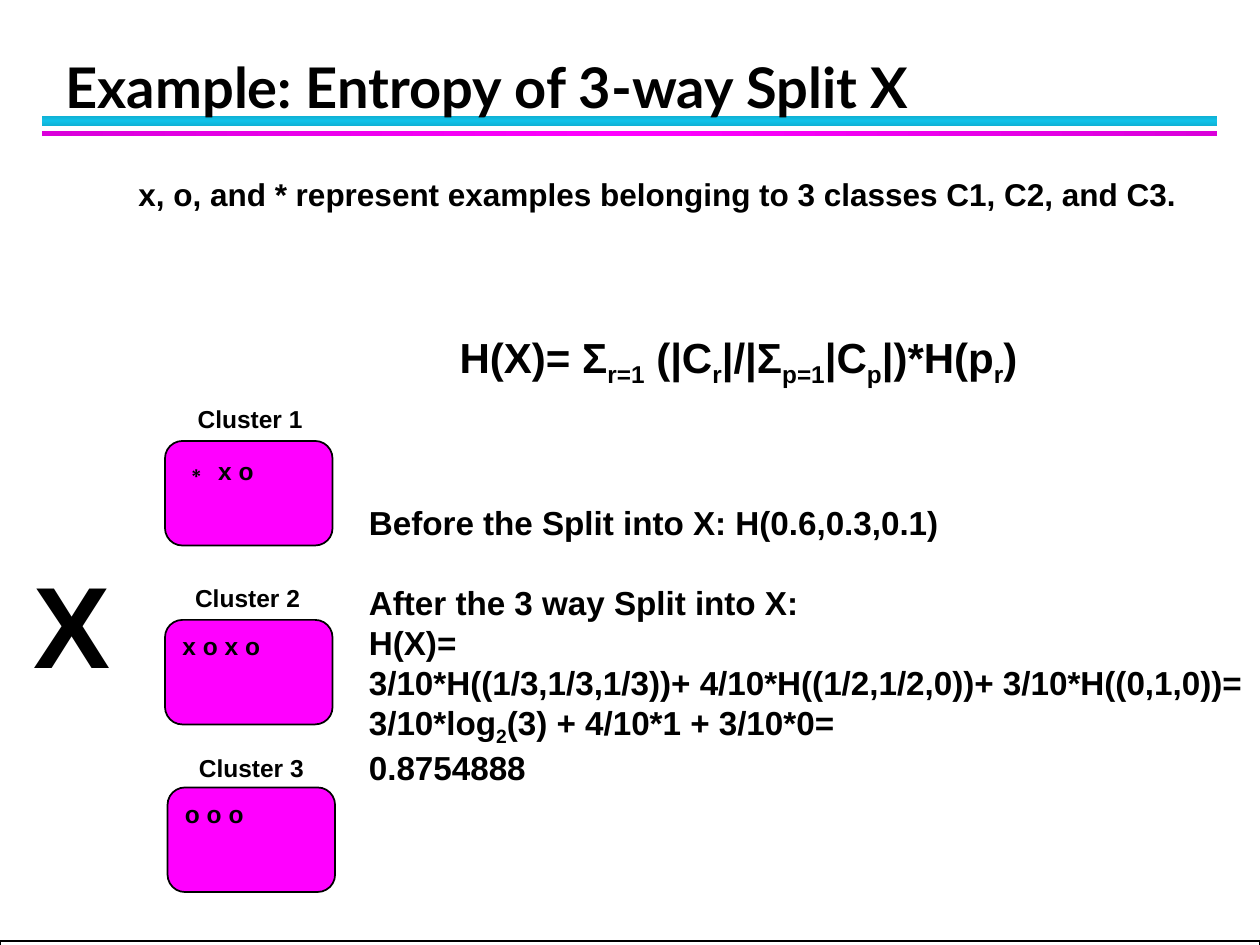
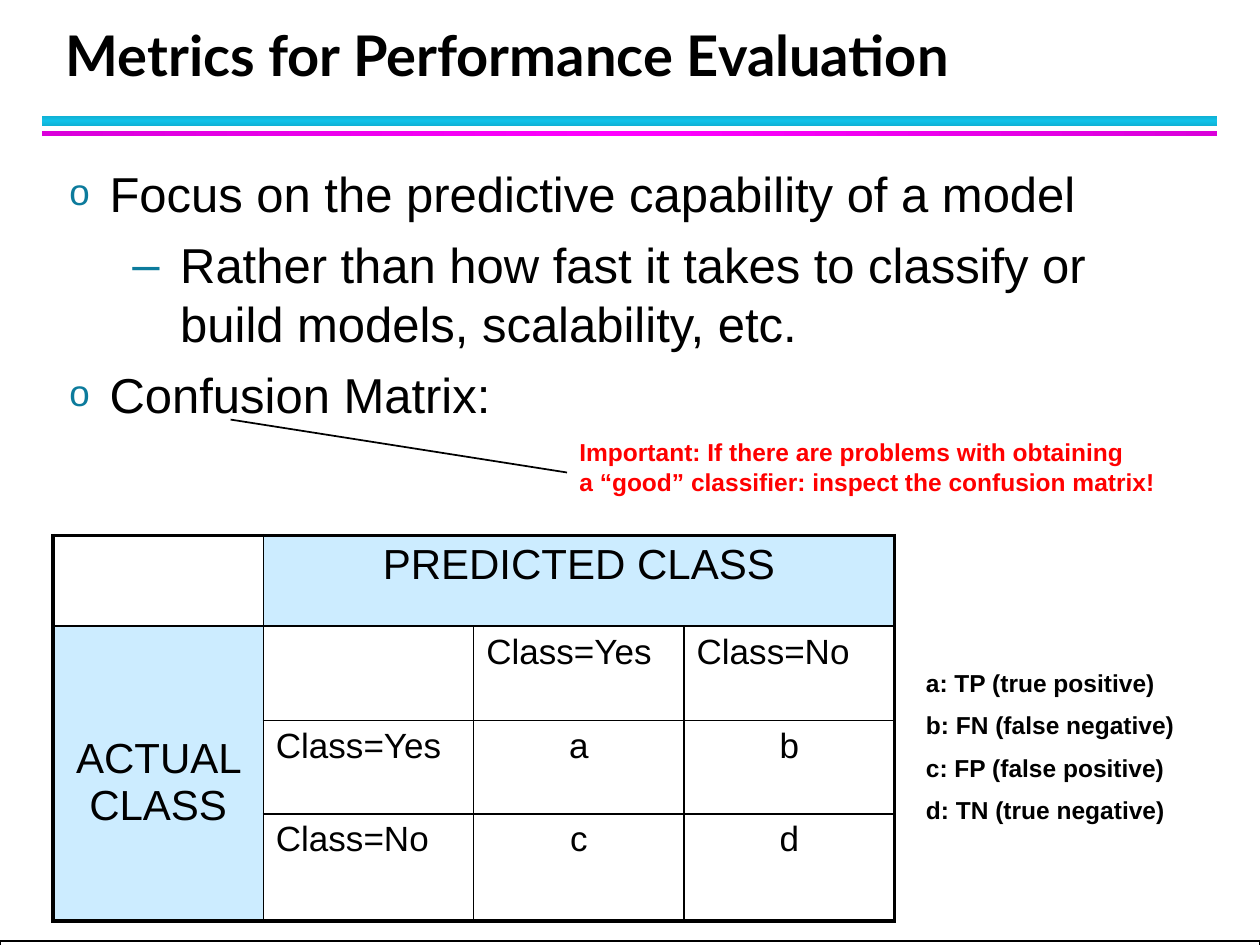
import copy
from dataclasses import dataclass

import pptx
import pptx.dml.color
import pptx.enum.shapes
import pptx.enum.text
import pptx.oxml
import pptx.oxml.ns
import pptx.util

Inches = pptx.util.Inches
Pt = pptx.util.Pt
RGB = pptx.dml.color.RGBColor.from_string
Shape = pptx.enum.shapes.MSO_SHAPE
Align = pptx.enum.text.PP_ALIGN
Anchor = pptx.enum.text.MSO_ANCHOR
AutoSize = pptx.enum.text.MSO_AUTO_SIZE
qn = pptx.oxml.ns.qn
NAMESPACE = pptx.oxml.ns.nsdecls("a")


@dataclass(frozen=True)
class Theme:
    ink: str = "000000"
    paper: str = "FFFFFF"
    alert: str = "FF0000"
    bullet: str = "0C7B9C"
    cluster: str = "FF00FF"
    header: str = "CCECFF"
    cyan_band: tuple = ("10B0D3", "12C2E9")
    magenta_band: tuple = ("DA00DA", "FF00FF")
    title_font: str = "Lato"
    body_font: str = "Arial"
    title: int = 32
    body: int = 28
    heading: int = 24
    cell: int = 20
    working: int = 19
    intro: int = 18
    star: int = 16
    label: int = 14
    giant: int = 66


theme = Theme()


def write(frame, lines, size, color=theme.ink, font=theme.body_font, bold=True,
          align=Align.LEFT, gap=0):
    """Fill a frame, one paragraph a line; text between ~ marks is subscript."""
    for number, line in enumerate(lines):
        para = frame.paragraphs[0] if number == 0 else frame.add_paragraph()
        para.alignment = align
        if number:
            para.space_before = Pt(gap)
        for position, piece in enumerate(line.split("~")):
            if not piece:
                continue
            span = para.add_run()
            span.text = piece
            span.font.size = Pt(size)
            span.font.name = font
            span.font.bold = bold
            span.font.color.rgb = RGB(color)
            if position % 2:
                span.font._element.set("baseline", "-25000")


def add_text(page, place, lines, size, wrap=False, **style):
    box = page.shapes.add_textbox(*map(Inches, place))
    box.text_frame.word_wrap = wrap
    box.text_frame.auto_size = AutoSize.SHAPE_TO_FIT_TEXT
    write(box.text_frame, lines, size, **style)
    return box


deck = pptx.Presentation()
deck.slide_width, deck.slide_height = Inches(10), Inches(7.5)
split_page = deck.slides.add_slide(deck.slide_layouts[5])
metrics_page = deck.slides.add_slide(deck.slide_layouts[1])

# Shared bands, footer strip and titles
for page, title, title_height in [
    (split_page, "Example: Entropy of 3-way Split X", 0.83),
    (metrics_page, "Metrics for Performance Evaluation", 0.58),
]:
    backdrop = []
    for top, height, (edge, middle), angle in [
        (0.92, 0.08, theme.cyan_band, 90),
        (1.04, 0.04, theme.magenta_band, 0),
    ]:
        band = page.shapes.add_shape(Shape.RECTANGLE, Inches(0.33), Inches(top),
                                     Inches(9.33), Inches(height))
        band.line.fill.background()
        band.fill.gradient()
        band.fill.gradient_angle = angle
        first, second = band.fill.gradient_stops
        first.color.rgb = RGB(edge)
        second.color.rgb = RGB(middle)
        second.position = 0.5
        stops = band.element.find(".//" + qn("a:gsLst"))
        stops.append(copy.deepcopy(stops[0]))
        stops[2].set("pos", "100000")
        backdrop.append(band)

    footer = page.shapes.add_shape(Shape.RECTANGLE, 0, Inches(7.47),
                                   Inches(10), Inches(0.33))
    footer.fill.solid()
    footer.fill.fore_color.rgb = RGB(theme.paper)
    footer.line.color.rgb = RGB(theme.ink)
    footer.line.width = Pt(1)
    backdrop.append(footer)

    # Keep the bands behind the placeholders
    for position, box in enumerate(backdrop, start=2):
        box.shadow.inherit = False
        page.shapes.element.insert(position, box.element)

    heading = page.shapes.title
    heading.left, heading.top = Inches(0.42), Inches(0.17)
    heading.width, heading.height = Inches(9.06), Inches(title_height)
    heading.text_frame.vertical_anchor = Anchor.BOTTOM
    heading.text_frame.auto_size = AutoSize.NONE
    write(heading.text_frame, [title], theme.title, font=theme.title_font)
    heading.text_frame.paragraphs[0].line_spacing = Pt(36)

# Slide 1: clusters
for name, marks, left, top, label_left, label_top in [
    ("Cluster 1", "∗ ~~x o", 1.31, 3.5, 1.47, 3.16),
    ("Cluster 2", "x o x o", 1.31, 4.92, 1.45, 4.58),
    ("Cluster 3", "o o o", 1.33, 6.25, 1.48, 5.93),
]:
    cluster = split_page.shapes.add_shape(
        Shape.ROUNDED_RECTANGLE, Inches(left), Inches(top), Inches(1.33), Inches(0.83))
    cluster.shadow.inherit = False
    cluster.fill.solid()
    cluster.fill.fore_color.rgb = RGB(theme.cluster)
    cluster.line.color.rgb = RGB(theme.ink)
    cluster.line.width = Pt(1)
    cluster.text_frame.vertical_anchor = Anchor.TOP
    write(cluster.text_frame, [marks], theme.label)
    if marks.startswith("∗"):
        cluster.text_frame.paragraphs[0].runs[0].font.size = Pt(theme.star)
    add_text(split_page, (label_left, label_top, 1.04, 0.34), [name], theme.label)

# Slide 1: explanation and formulas
add_text(split_page, (1, 1.34, 8.52, 0.4),
         ["x, o, and * represent examples belonging to 3 classes C1, C2, and C3."],
         theme.intro)
add_text(split_page, (0.17, 4.34, 0.82, 1.21), ["X"], theme.giant)
working = add_text(split_page, (2.83, 3.94, 7.24, 2.34), [
    "Before the Split into X: H(0.6,0.3,0.1)",
    "After the 3 way Split into X:",
    "H(X)=",
    "3/10*H((1/3,1/3,1/3))+ 4/10*H((1/2,1/2,0))+ 3/10*H((0,1,0))=",
    "3/10*log~2~(3) + 4/10*1 + 3/10*0=",
    "0.8754888",
], theme.working)
working.text_frame.paragraphs[1].space_before = Pt(22.8)
add_text(split_page, (3.55, 2.58, 9.37, 0.91),
         ["H(X)= Σ~r=1~ (|C~r~|/|Σ~p=1~|C~p~|)*H(p~r~)"], theme.heading, wrap=True)

# Slide 2: bullet list
body = metrics_page.placeholders[1]
body.left, body.top = Inches(0.45), Inches(1.25)
body.width, body.height = Inches(9.1), Inches(5.67)
body.text_frame.auto_size = AutoSize.NONE
write(body.text_frame, [
    "Focus on the predictive capability of a model",
    "Rather than how fast it takes to classify or build models, scalability, etc.",
    "Confusion Matrix:",
], theme.body, bold=False)
for para, level in zip(body.text_frame.paragraphs, (0, 1, 0)):
    indent, hanging, symbol, percent = [(0.32, 0.32, "o", 75), (0.88, 0.38, "–", 100)][level]
    para.level = level
    para.space_before, para.space_after = Pt(3), Pt(4)
    properties = para._p.get_or_add_pPr()
    properties.set("marL", str(Inches(indent)))
    properties.set("indent", str(-Inches(hanging)))
    for markup in (
        f'<a:buClr {NAMESPACE}><a:srgbClr val="{theme.bullet}"/></a:buClr>',
        f'<a:buSzPct {NAMESPACE} val="{percent * 1000}"/>',
        f'<a:buFont {NAMESPACE} typeface="{theme.body_font}"/>',
        f'<a:buChar {NAMESPACE} char="{symbol}"/>',
    ):
        properties.append(pptx.oxml.parse_xml(markup))

# Slide 2: confusion matrix
matrix_rows = [
    ["", "PREDICTED CLASS", "", ""],
    ["ACTUAL CLASS", "", "Class=Yes", "Class=No"],
    ["", "Class=Yes", "a", "b"],
    ["", "Class=No", "c", "d"],
]
matrix = metrics_page.shapes.add_table(4, 4, Inches(0.42), Inches(4.25),
                                       Inches(6.67), Inches(3.06)).table
matrix.first_row = matrix.horz_banding = False
for column in matrix.columns:
    column.width = Inches(1.67)
for row, height in zip(matrix.rows, (0.72, 0.75, 0.74, 0.85)):
    row.height = Inches(height)
matrix.cell(0, 1).merge(matrix.cell(0, 3))
matrix.cell(1, 0).merge(matrix.cell(3, 0))

for row_number, texts in enumerate(matrix_rows):
    for column_number, text in enumerate(texts):
        cell = matrix.cell(row_number, column_number)
        outer = {
            "L": column_number == 0,
            "R": column_number + cell.span_width == 4,
            "T": row_number == 0,
            "B": row_number + cell.span_height == 4,
        }
        for side, is_outer in outer.items():
            width = Pt(2.25 if is_outer else 1)
            cell._tc.get_or_add_tcPr().append(pptx.oxml.parse_xml(
                f'<a:ln{side} {NAMESPACE} w="{width}"><a:solidFill>'
                f'<a:srgbClr val="{theme.ink}"/></a:solidFill></a:ln{side}>'))
        is_header = cell.is_merge_origin
        if is_header:
            cell.fill.solid()
            cell.fill.fore_color.rgb = RGB(theme.header)
        else:
            cell.fill.background()
        if text:
            write(cell.text_frame, [text], theme.heading if is_header else theme.cell,
                  bold=False,
                  align=Align.LEFT if text.startswith("Class") else Align.CENTER)
matrix.cell(1, 0).margin_top = Inches(0.87)

# Slide 2: legend, warning and pointer
add_text(metrics_page, (7.25, 5.25, 2.42, 1.38), [
    "a: TP (true positive)",
    "b: FN (false negative)",
    "c: FP (false positive)",
    "d: TN (true negative)",
], theme.label, wrap=True, gap=7.5)
add_text(metrics_page, (4.5, 3.42, 4.84, 0.57), [
    "Important: If there are problems with obtaining",
    "a “good” classifier: inspect the confusion matrix!",
], theme.label, color=theme.alert)
pointer = metrics_page.shapes.add_connector(
    pptx.enum.shapes.MSO_CONNECTOR.STRAIGHT,
    Inches(1.83), Inches(3.33), Inches(4.5), Inches(3.75))
pointer.line.color.rgb = RGB(theme.ink)
pointer.line.width = Pt(1)
pointer.element.spPr.append(pptx.oxml.parse_xml(f"<a:effectLst {NAMESPACE}/>"))

deck.save("out.pptx")
